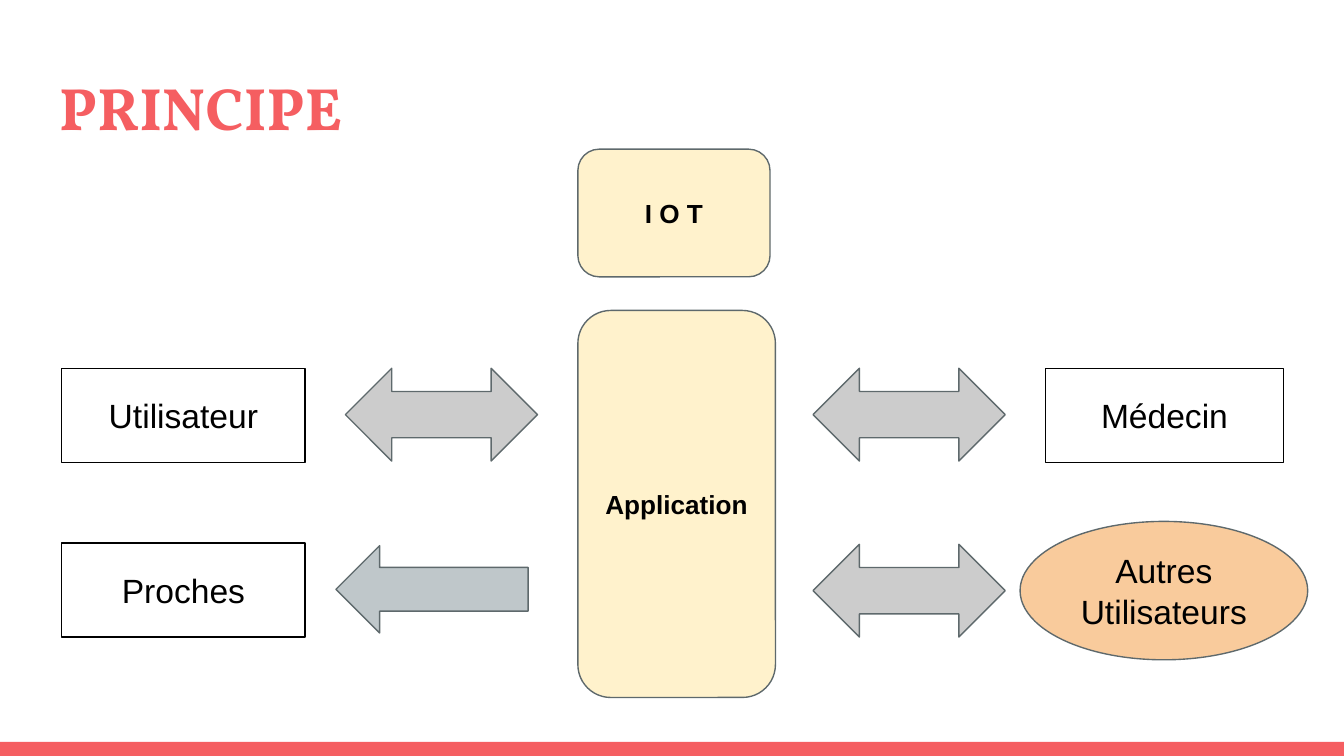
from pptx import Presentation
from pptx.dml.color import RGBColor
from pptx.enum.shapes import MSO_SHAPE
from pptx.enum.text import MSO_ANCHOR, PP_ALIGN
from pptx.util import Inches, Pt

CORAL = RGBColor(0xF5, 0x5E, 0x61)
CREAM = RGBColor(0xFF, 0xF2, 0xCC)
PEACH = RGBColor(0xF9, 0xCB, 0x9C)
GREY = RGBColor(0xCC, 0xCC, 0xCC)
BLUE_GREY = RGBColor(0xBF, 0xC7, 0xCA)
SLATE = RGBColor(0x5E, 0x69, 0x6C)
BLACK = RGBColor(0, 0, 0)


def write(tf, text, size=18, font="Arial", color=BLACK, bold=False,
          align=PP_ALIGN.CENTER, anchor=MSO_ANCHOR.MIDDLE):
    tf.word_wrap = True
    tf.vertical_anchor = anchor
    tf.margin_left = tf.margin_right = Inches(0.1)
    tf.margin_top = tf.margin_bottom = Inches(0.1)
    p = tf.paragraphs[0]
    p.alignment = align
    r = p.add_run()
    r.text = text
    r.font.name = font
    r.font.size = Pt(size)
    r.font.bold = bold
    r.font.color.rgb = color


class Diagram:
    body_font = "Arial"
    title_font = "Vollkorn"
    line_width = Pt(0.75)

    def __init__(self, slide):
        self.slide = slide

    def title(self, text, x, y, w, h):
        s = self.slide.shapes.title
        s.left, s.top, s.width, s.height = map(Inches, (x, y, w, h))
        write(s.text_frame, text, size=32, font=self.title_font, color=CORAL,
              bold=True, align=PP_ALIGN.LEFT, anchor=MSO_ANCHOR.TOP)

    def shape(self, kind, x, y, w, h, fill=None, line=SLATE):
        s = self.slide.shapes.add_shape(kind, *map(Inches, (x, y, w, h)))
        s.shadow.inherit = False
        if fill is None:
            s.fill.background()
        else:
            s.fill.solid()
            s.fill.fore_color.rgb = fill
        if line is None:
            s.line.fill.background()
        else:
            s.line.color.rgb = line
            s.line.width = self.line_width
        return s

    def node(self, text, kind, x, y, w, h, fill=None, line=SLATE, **fmt):
        s = self.shape(kind, x, y, w, h, fill, line)
        write(s.text_frame, text, font=self.body_font, **fmt)

    def system(self, text, x, y, w, h):
        self.node(text, MSO_SHAPE.ROUNDED_RECTANGLE, x, y, w, h, CREAM,
                  size=14, bold=True)

    def actor(self, text, x, y, w):
        self.node(text, MSO_SHAPE.RECTANGLE, x, y, w, 0.7, line=BLACK)

    def exchange(self, x, y):
        self.shape(MSO_SHAPE.LEFT_RIGHT_ARROW, x, y, 1.43, 0.69, GREY)


def main():
    prs = Presentation()
    prs.slide_width = Inches(10)
    prs.slide_height = prs.slide_width * 9 // 16
    d = Diagram(prs.slides.add_slide(prs.slide_layouts[5]))

    # Title and bottom band
    d.shape(MSO_SHAPE.RECTANGLE, 0, 5.52, 10, 0.11, CORAL, line=None)
    d.title("PRINCIPE", 0.34, 0.43, 9.32, 0.68)

    # Central systems
    d.system("I O T", 4.3, 1.11, 1.43, 0.95)
    d.system("Application", 4.3, 2.31, 1.47, 2.88)

    # Actors around the application
    d.actor("Utilisateur", 0.46, 2.74, 1.81)
    d.actor("Proches", 0.46, 4.04, 1.81)
    d.actor("Médecin", 7.78, 2.74, 1.77)
    d.node("Autres Utilisateurs", MSO_SHAPE.FLOWCHART_CONNECTOR,
           7.59, 3.88, 2.14, 1.03, PEACH)

    # Two-way exchanges and one-way notice
    for x, y in ((2.57, 2.74), (6.05, 2.74), (6.05, 4.05)):
        d.exchange(x, y)
    d.shape(MSO_SHAPE.LEFT_ARROW, 2.5, 4.06, 1.43, 0.65, BLUE_GREY)

    prs.save("out.pptx")


if __name__ == "__main__":
    main()
